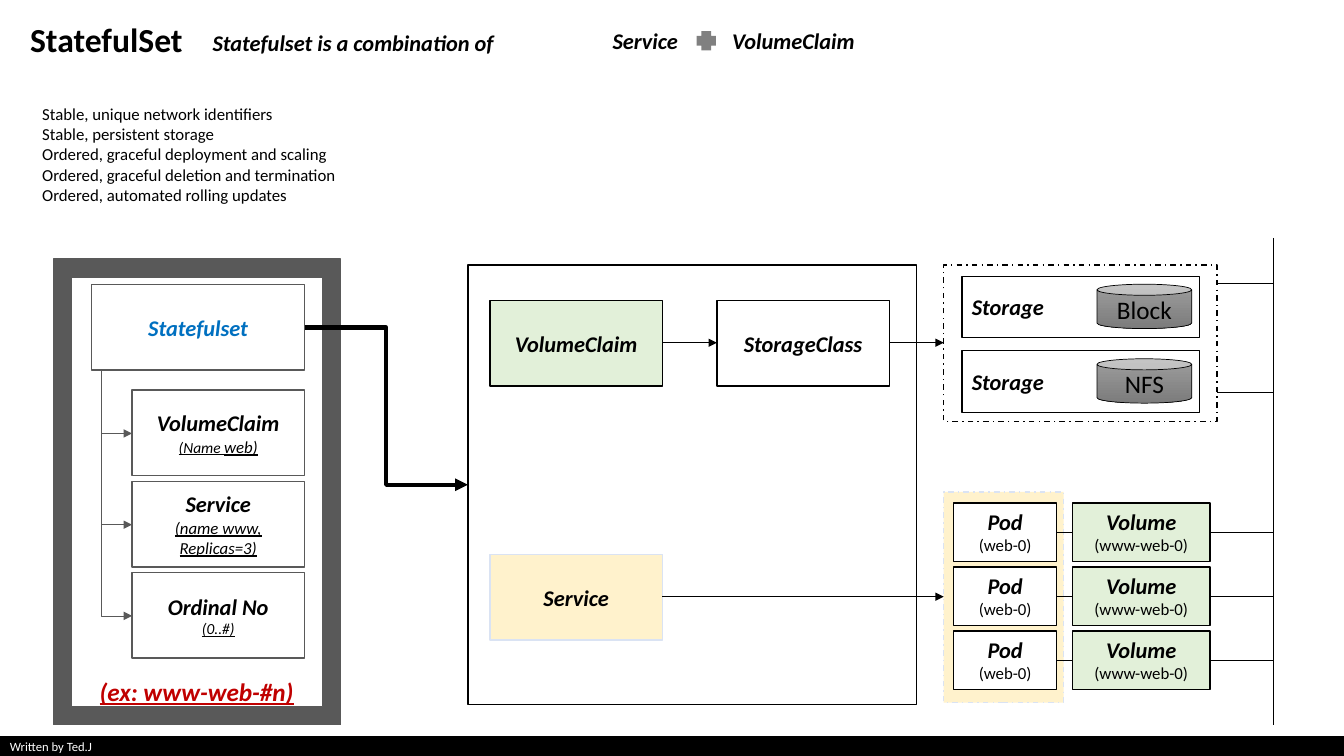
from dataclasses import dataclass, replace

from lxml import etree
from pptx import Presentation
from pptx.dml.color import RGBColor
from pptx.enum.dml import MSO_LINE
from pptx.enum.shapes import MSO_CONNECTOR, MSO_SHAPE
from pptx.enum.text import MSO_ANCHOR, PP_ALIGN
from pptx.oxml.ns import qn
from pptx.util import Inches, Pt

RECTANGLE, CAN = MSO_SHAPE.RECTANGLE, MSO_SHAPE.CAN
FRAME, PLUS = MSO_SHAPE.FRAME, MSO_SHAPE.CROSS
STRAIGHT, ELBOW = MSO_CONNECTOR.STRAIGHT, MSO_CONNECTOR.ELBOW
TOP, MIDDLE = MSO_ANCHOR.TOP, MSO_ANCHOR.MIDDLE
LEFT, CENTER = PP_ALIGN.LEFT, PP_ALIGN.CENTER
DASH_DOT = MSO_LINE.DASH_DOT


class Theme:
    font = "Calibri"
    black, white = "000000", "FFFFFF"
    dark_gray, plus_gray = "595959", "808080"
    green, yellow, pale_blue = "E2F0D9", "FFF2CC", "DAE3F3"
    blue, red = "0070C0", "C00000"
    can_top, can_bottom = "9D9D9D", "7C7C7C"
    title, large, heading, body, small, space, footer = 24, 18, 16, 12, 11, 10, 9
    thin, normal, thick = 0.5, 1, 3


@dataclass(frozen=True)
class Style:
    size: float = Theme.body
    color: str = Theme.black
    bold: bool = False
    italic: bool = False
    underline: bool = False


BODY = Style()
HEADING = Style(Theme.heading, bold=True, italic=True)
NOTE = Style(Theme.body, italic=True, underline=True)
SMALL_NOTE = replace(NOTE, size=Theme.small)


def rgb(value):
    return RGBColor.from_string(value)


def apply_font(font, style):
    font.name = Theme.font
    font.size = Pt(style.size)
    font.color.rgb = rgb(style.color)
    font.bold, font.italic = style.bold, style.italic
    font.underline = style.underline


def write_text(frame, lines, align, anchor, wrap=True):
    """Each line is (text, style), or a list of such pairs for mixed runs."""
    frame.word_wrap = wrap
    frame.vertical_anchor = anchor
    for index, line in enumerate(lines):
        paragraph = frame.add_paragraph() if index else frame.paragraphs[0]
        paragraph.alignment = align
        if isinstance(line, list):
            for text, style in line:
                run = paragraph.add_run()
                run.text = text
                apply_font(run.font, style)
        else:
            paragraph.text, style = line
            apply_font(paragraph.font, style)


def add_text(slide, box, lines, anchor=TOP, wrap=True):
    shape = slide.shapes.add_textbox(*map(Inches, box))
    write_text(shape.text_frame, lines, LEFT, anchor, wrap)


def add_box(slide, box, lines=(), fill=None, line=Theme.black, kind=RECTANGLE,
            align=CENTER, anchor=MIDDLE, dash=None, line_width=Theme.normal):
    shape = slide.shapes.add_shape(kind, *map(Inches, box))
    shape.shadow.inherit = False
    if fill:
        shape.fill.solid()
        shape.fill.fore_color.rgb = rgb(fill)
    else:
        shape.fill.background()
    if line:
        shape.line.color.rgb = rgb(line)
        shape.line.width = Pt(line_width)
        if dash:
            shape.line.dash_style = dash
    else:
        shape.line.fill.background()
    write_text(shape.text_frame, lines, align, anchor)
    return shape


def add_line(slide, start, end, color=Theme.black, width=Theme.thin,
             arrow=False, kind=STRAIGHT):
    connector = slide.shapes.add_connector(kind, *map(Inches, start + end))
    connector.line.color.rgb = rgb(color)
    connector.line.width = Pt(width)
    properties = connector.line._get_or_add_ln()
    if arrow:
        etree.SubElement(properties, qn("a:tailEnd"), type="triangle")
    etree.SubElement(properties.getparent(), qn("a:effectLst"))
    return connector


def add_branch(slide, start, end):
    """Arrow with one bend: first down, then right."""
    connector = add_line(slide, start, end, Theme.dark_gray, arrow=True, kind=ELBOW)
    width, height = end[0] - start[0], end[1] - start[1]
    connector.left = Inches((start[0] + end[0] - height) / 2)
    connector.top = Inches((start[1] + end[1] - width) / 2)
    connector.width, connector.height = Inches(height), Inches(width)
    properties = connector._element.spPr
    transform = properties.find(qn("a:xfrm"))
    transform.set("rot", str(270 * 60000))
    transform.set("flipH", "1")
    properties.find(qn("a:prstGeom")).set("prst", "bentConnector2")


def add_storage(slide, top, name):
    add_box(slide, (9.54, top, 2.36, 0.61), [("Storage", HEADING)], Theme.white, align=LEFT)
    can = add_box(slide, (10.88, top + 0.08, 0.94, 0.44),
                  [(name, Style(Theme.large))], kind=CAN, line_width=Theme.thin)
    can.fill.gradient()
    can.fill.gradient_angle = 270
    for stop, color in zip(can.fill.gradient_stops, (Theme.can_top, Theme.can_bottom)):
        stop.color.rgb = rgb(color)


def add_pod_row(slide, top):
    middle = top + 0.29
    add_line(slide, (10.48, middle), (12.63, middle))
    for left, width, name, note, fill in (
            (9.46, 1.02, "Pod", "(web-0)", Theme.white),
            (10.64, 1.36, "Volume", "(www-web-0)", Theme.green)):
        add_box(slide, (left, top, width, 0.58), [(name, HEADING), (note, BODY)],
                fill, anchor=TOP)


def add_header(slide):
    add_text(slide, (0.2, 0.14, 12.92, 0.5),
             [("StatefulSet", Style(Theme.title, bold=True))])
    add_text(slide, (2.01, 0, 3.09, 0.85),
             [("Statefulset is a combination of", HEADING)], MIDDLE)
    for left, width, name in ((5.94, 0.92, "Service"), (7.15, 1.44, "VolumeClaim")):
        add_box(slide, (left, 0.16, width, 0.49), [(name, HEADING)], Theme.white, None)
    add_box(slide, (6.91, 0.31, 0.19, 0.19), fill=Theme.plus_gray, line=None, kind=PLUS)
    features = ("Stable, unique network identifiers",
                "Stable, persistent storage",
                "Ordered, graceful deployment and scaling",
                "Ordered, graceful deletion and termination",
                "Ordered, automated rolling updates")
    add_text(slide, (0.32, 0.98, 4.12, 1.11), [(text, BODY) for text in features])


def add_definition(slide):
    gray = Theme.dark_gray
    frame = add_box(slide, (0.53, 2.57, 2.85, 4.62), fill=gray, line=gray, kind=FRAME)
    frame.adjustments[0] = 0.063
    add_box(slide, (0.91, 2.82, 2.11, 0.85),
            [("Statefulset", replace(HEADING, color=Theme.blue))], Theme.white, gray)
    claim_note = [("(Name", SMALL_NOTE), (" ", replace(NOTE, size=Theme.space)),
                  ("web)", NOTE)]
    parts = (("VolumeClaim", claim_note),
             ("Service", ("(name www, Replicas=3)", NOTE)),
             ("Ordinal No", ("(0..#)", SMALL_NOTE)))
    for index, (name, note) in enumerate(parts):
        top = 3.87 + index * 0.905
        add_box(slide, (1.31, top, 1.71, 0.85), [(name, HEADING), note], Theme.white, gray)
        add_branch(slide, (1.01, 3.67), (1.31, top + 0.43))
    example = replace(HEADING, size=Theme.large, color=Theme.red, underline=True)
    add_text(slide, (0.89, 6.66, 2.15, 0.4), [("(ex: www-web-#n)", example)], wrap=False)


def add_resources(slide):
    add_box(slide, (4.64, 2.63, 4.45, 4.36))
    for left, top, name, fill, line in (
            (4.86, 2.98, "VolumeClaim", Theme.green, Theme.black),
            (7.11, 2.98, "StorageClass", Theme.white, Theme.black),
            (4.86, 5.5, "Service", Theme.yellow, Theme.pale_blue)):
        add_box(slide, (left, top, 1.71, 0.85), [(name, HEADING)], fill, line)


def add_backends(slide):
    add_box(slide, (9.36, 2.63, 2.71, 1.55), dash=DASH_DOT)
    add_storage(slide, 2.74, "Block")
    add_storage(slide, 3.48, "NFS")
    add_box(slide, (9.36, 4.88, 1.19, 2.09), fill=Theme.yellow,
            line=Theme.pale_blue, dash=DASH_DOT)
    for index in range(3):
        add_pod_row(slide, 4.99 + index * 0.635)
    # Shared line on the right
    add_line(slide, (12.63, 2.36), (12.63, 7.19))
    for height in (2.81, 3.89):
        add_line(slide, (12.07, height), (12.63, height))


def add_flow(slide):
    for start, end, height in ((6.57, 7.11, 3.4), (8.82, 9.36, 3.4), (6.57, 9.36, 5.92)):
        add_line(slide, (start, height), (end, height), arrow=True)
    add_line(slide, (3.02, 3.25), (4.64, 4.81), width=Theme.thick, arrow=True, kind=ELBOW)


def main():
    presentation = Presentation()
    presentation.slide_width, presentation.slide_height = Inches(13.33), Inches(7.5)
    slide = presentation.slides.add_slide(presentation.slide_layouts[6])
    # Footer bar
    add_box(slide, (0, 7.31, 13.33, 0.19),
            [("Written by Ted.J", Style(Theme.footer, Theme.white))], Theme.black, align=LEFT)
    # Content, left to right
    add_header(slide)
    add_definition(slide)
    add_resources(slide)
    add_backends(slide)
    add_flow(slide)
    presentation.save("out.pptx")


main()
